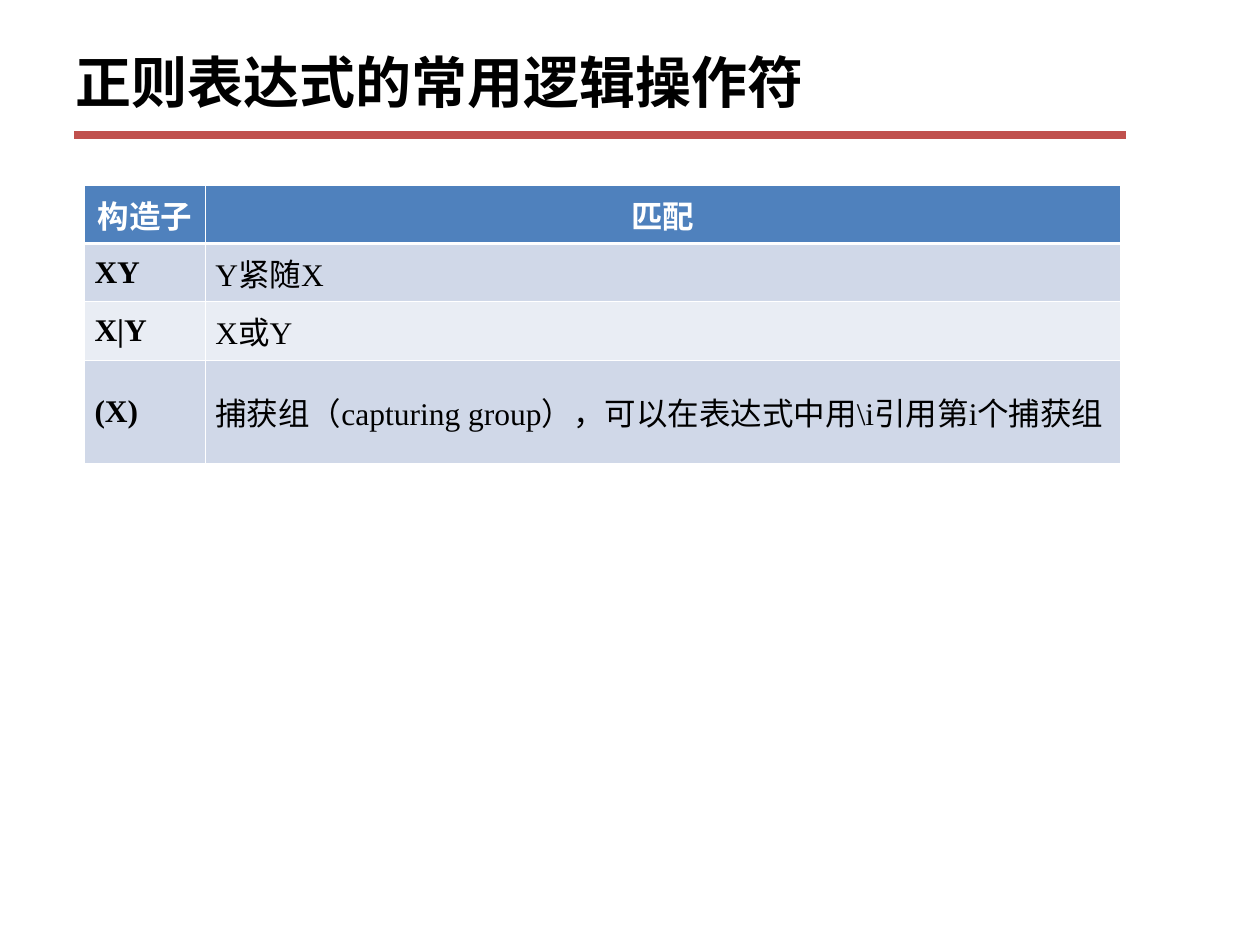
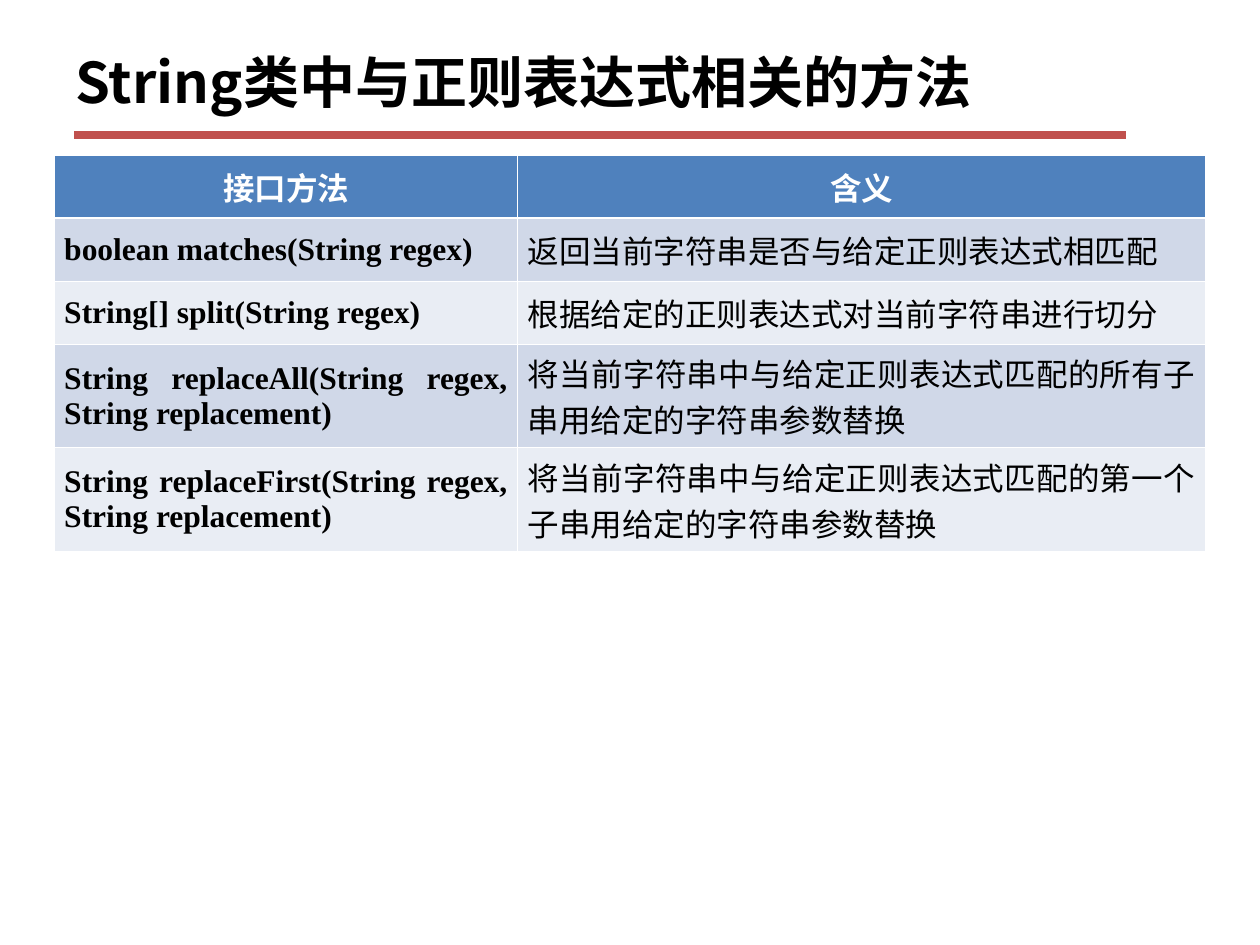
import pptx
import pptx.dml.color
import pptx.enum.shapes
import pptx.enum.text
import pptx.oxml.ns
import pptx.util
from lxml import etree

Inches = pptx.util.Inches
Pt = pptx.util.Pt
ALIGN = pptx.enum.text.PP_ALIGN
MIDDLE = pptx.enum.text.MSO_ANCHOR.MIDDLE
qn = pptx.oxml.ns.qn

COLORS = {
    "text": "000000",
    "white": "FFFFFF",
    "rule": "C0504D",
    "header": "4F81BD",
    "odd": "D0D8E8",
    "even": "E9EDF4",
}
CJK_FONT = "Noto Sans CJK SC"
LATIN_FONT = "Times New Roman"
THIN, THICK = 0.45, 1.47

OPERATORS = [
    ("构造子", "匹配"),
    ("XY", "Y紧随X"),
    ("X|Y", "X或Y"),
    ("(X)", "捕获组（capturing group），可以在表达式中用\\i引用第i个捕获组"),
]
STRING_METHODS = [
    ("接口方法", "含义"),
    ("boolean matches(String regex)", "返回当前字符串是否与给定正则表达式相匹配"),
    ("String[] split(String regex)", "根据给定的正则表达式对当前字符串进行切分"),
    ("String replaceAll(String regex, String replacement)",
     "将当前字符串中与给定正则表达式匹配的所有子串用给定的字符串参数替换"),
    ("String replaceFirst(String regex, String replacement)",
     "将当前字符串中与给定正则表达式匹配的第一个子串用给定的字符串参数替换"),
]


def rgb(name):
    """Return the named colour."""
    return pptx.dml.color.RGBColor.from_string(COLORS[name])


class Deck:
    """Holds the shared style and the current slide."""

    def __init__(self):
        """Start an empty 10 by 7.5 inch presentation."""
        self.presentation = pptx.Presentation()
        self.presentation.slide_width = Inches(10)
        self.presentation.slide_height = Inches(7.5)
        self.slide = None

    def add_slide(self, heading):
        """Add a slide with its rule and title."""
        self.slide = self.presentation.slides.add_slide(self.presentation.slide_layouts[5])
        self.rule()
        self.title(heading)

    def rule(self):
        """Draw the line under the title."""
        rule = self.slide.shapes.add_connector(
            pptx.enum.shapes.MSO_CONNECTOR.STRAIGHT,
            Inches(0.59), Inches(1.07), Inches(8.94), Inches(1.07))
        rule.line.color.rgb = rgb("rule")
        rule.line.width = Pt(4.5)
        etree.SubElement(rule._element.spPr, qn("a:effectLst"))

    def title(self, heading):
        """Place and format the title."""
        title = self.slide.shapes.title
        title.left, title.top = Inches(0.5), Inches(0.21)
        title.width, title.height = Inches(9), Inches(0.87)
        frame = title.text_frame
        frame.text = heading
        frame.word_wrap = True
        frame.auto_size = pptx.enum.text.MSO_AUTO_SIZE.NONE
        frame.vertical_anchor = MIDDLE
        self.style(frame.paragraphs[0], ALIGN.LEFT, 32, CJK_FONT, "text", True)

    def style(self, paragraph, align, size, latin, color, bold):
        """Format a paragraph and its runs."""
        paragraph.alignment = align
        for run in paragraph.runs:
            run.font.size = Pt(size)
            run.font.bold = bold
            run.font.color.rgb = rgb(color)
            run.font.name = latin
            east_asian = etree.SubElement(run._r.get_or_add_rPr(), qn("a:ea"))
            east_asian.set("typeface", CJK_FONT)

    def table(self, left, top, widths, heights, rows):
        """Add a banded table with a header row and bold first column."""
        table = self.slide.shapes.add_table(
            len(rows), len(widths), Inches(left), Inches(top),
            Inches(sum(widths)), Inches(sum(heights))).table
        for column, width in zip(table.columns, widths):
            column.width = Inches(width)
        for row, height in zip(table.rows, heights):
            row.height = Inches(height)
        for r, texts in enumerate(rows):
            for c, text in enumerate(texts):
                self.cell(table.cell(r, c), text, r, c)

    def cell(self, cell, text, row, column):
        """Fill and format one table cell."""
        header = row == 0
        cell.text_frame.text = text
        cell.vertical_anchor = MIDDLE
        cell.margin_left = cell.margin_right = Inches(0.08)
        cell.margin_top = cell.margin_bottom = Inches(0.05)
        self.style(cell.text_frame.paragraphs[0],
                   ALIGN.CENTER if header else ALIGN.JUSTIFY, 18, LATIN_FONT,
                   "white" if header else "text", header or column == 0)
        self.borders(cell, THICK if row == 1 else THIN, THICK if header else THIN)
        cell.fill.solid()
        cell.fill.fore_color.rgb = rgb("header" if header else "odd" if row % 2 else "even")

    def borders(self, cell, top, bottom):
        """Draw the white lines around a cell."""
        properties = cell._tc.get_or_add_tcPr()
        for side, width in (("L", THIN), ("R", THIN), ("T", top), ("B", bottom)):
            line = etree.SubElement(properties, qn(f"a:ln{side}"), w=str(int(Pt(width))))
            fill = etree.SubElement(line, qn("a:solidFill"))
            etree.SubElement(fill, qn("a:srgbClr"), val=COLORS["white"])


def main():
    """Build both slides and save them."""
    deck = Deck()
    deck.add_slide("正则表达式的常用逻辑操作符")
    deck.table(0.67, 1.47, [0.96, 7.26], [0.36] * 3 + [0.72], OPERATORS)
    deck.add_slide("String类中与正则表达式相关的方法")
    deck.table(0.43, 1.23, [3.68, 5.46], [0.5] * 3 + [0.74] * 2, STRING_METHODS)
    deck.presentation.save("out.pptx")


if __name__ == "__main__":
    main()
